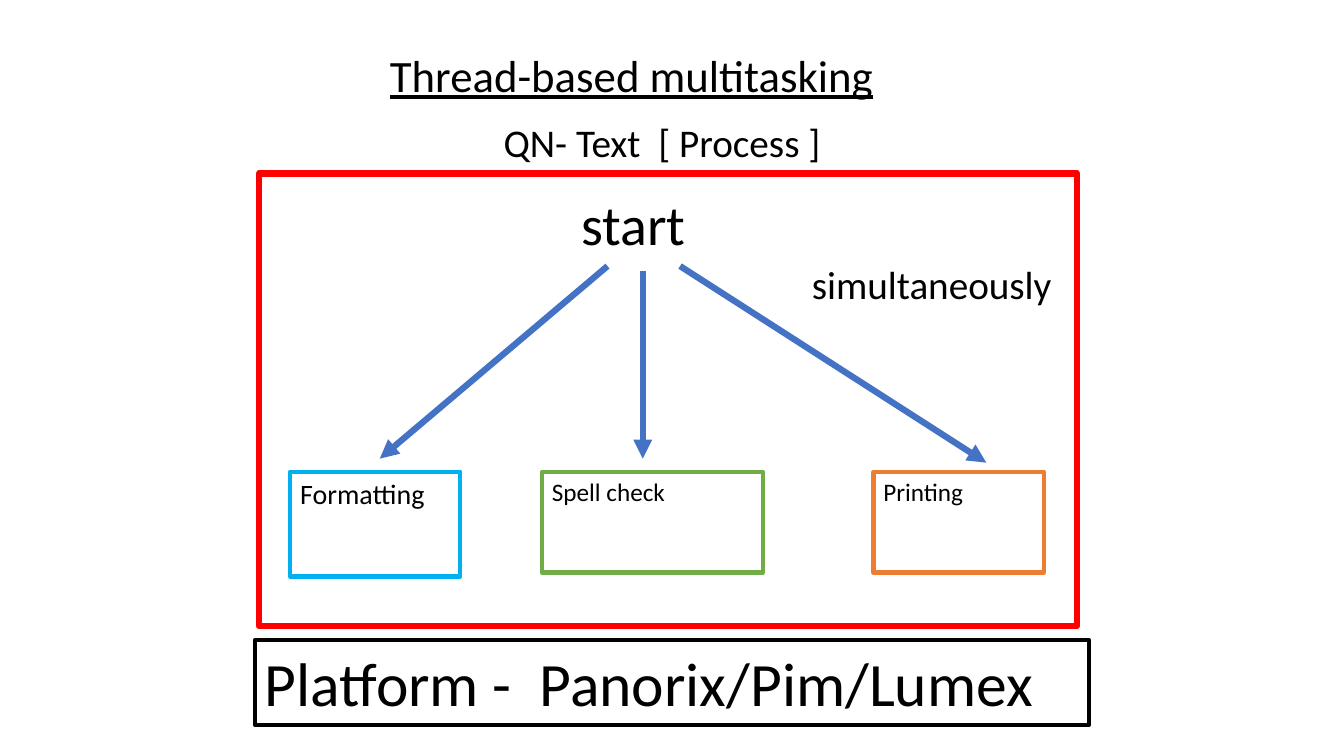
from lxml import etree
from pptx import Presentation
from pptx.dml.color import RGBColor
from pptx.enum.shapes import MSO_CONNECTOR, MSO_SHAPE
from pptx.enum.text import MSO_ANCHOR, PP_ALIGN
from pptx.oxml.ns import qn
from pptx.util import Inches, Pt

RECTANGLE = MSO_SHAPE.RECTANGLE
STRAIGHT = MSO_CONNECTOR.STRAIGHT
TOP = MSO_ANCHOR.TOP
LEFT = PP_ALIGN.LEFT
TITLE_ONLY = 5

THEME = {
    "font": "Calibri",
    "text": "000000",
    "process": "FF0000",
    "formatting": "00B0F0",
    "spelling": "70AD47",
    "printing": "ED7D31",
    "arrow": "4472C4",
    "platform": "000000",
    "title_size": 32,
    "label_size": 28,
    "start_size": 40,
    "platform_size": 44,
    "first_task_size": 20,
    "task_size": 18,
    "thick": 4.5,
    "thin": 3,
}


def write(shape, text, size, underline=None):
    """Fill a shape with one left-aligned line of text at the top."""
    frame = shape.text_frame
    layout = {
        "word_wrap": True,
        "vertical_anchor": TOP,
        "margin_left": Inches(0.1),
        "margin_right": Inches(0.1),
        "margin_top": Inches(0.05),
        "margin_bottom": Inches(0.05),
    }
    for name, value in layout.items():
        setattr(frame, name, value)
    para = frame.paragraphs[0]
    para.alignment = LEFT
    span = para.add_run()
    span.text = text
    look = {"name": THEME["font"], "size": Pt(THEME[size]), "underline": underline}
    for name, value in look.items():
        setattr(span.font, name, value)
    span.font.color.rgb = RGBColor.from_string(THEME["text"])


def add_outline(page, place, color, width):
    """Add an unfilled rectangle with a coloured border."""
    box = page.shapes.add_shape(RECTANGLE, *map(Inches, place))
    box.shadow.inherit = False
    box.fill.background()
    box.line.color.rgb = RGBColor.from_string(THEME[color])
    box.line.width = Pt(THEME[width])
    return box


deck = Presentation()
deck.slide_width = Inches(13.34)
deck.slide_height = Inches(7.5)
page = deck.slides.add_slide(deck.slide_layouts[TITLE_ONLY])

# Title
title = page.shapes.title
title.left, title.top, title.width, title.height = map(Inches, (3.77, 0.42, 5.23, 0.64))
write(title, "Thread-based multitasking", "title_size", underline=True)

# Process frame
add_outline(page, (2.57, 1.72, 8.12, 4.49), "process", "thick")

# Tasks and platform
boxes = [
    ("Formatting", (2.88, 4.68, 1.69, 1.04), "formatting", "first_task_size"),
    ("Spell check", (5.38, 4.68, 2.19, 1), "spelling", "task_size"),
    ("Printing", (8.67, 4.68, 1.69, 1), "printing", "task_size"),
    ("Platform -  Panorix/Pim/Lumex", (2.53, 6.35, 8.28, 0.84), "platform", "platform_size"),
]
for text, place, color, size in boxes:
    write(add_outline(page, place, color, "thin"), text, size)

# Arrows from start to each task
arrows = [
    (6.03, 2.64, 3.77, 4.55),
    (6.38, 2.69, 6.38, 4.55),
    (6.75, 2.64, 9.79, 4.59),
]
for ends in arrows:
    arrow = page.shapes.add_connector(STRAIGHT, *map(Inches, ends))
    arrow.line.color.rgb = RGBColor.from_string(THEME["arrow"])
    arrow.line.width = Pt(THEME["thick"])
    etree.SubElement(arrow.line._get_or_add_ln(), qn("a:tailEnd"), type="triangle")
    etree.SubElement(arrow._element.spPr, qn("a:effectLst"))

# Labels
labels = [
    ("QN- Text  [ Process ]", (4.9, 1.12, 4.32, 0.57), "label_size"),
    ("start", (5.67, 1.83, 1.6, 0.77), "start_size"),
    ("simultaneously", (7.96, 2.53, 2.8, 0.57), "label_size"),
]
for text, place, size in labels:
    write(page.shapes.add_textbox(*map(Inches, place)), text, size)

deck.save("out.pptx")
